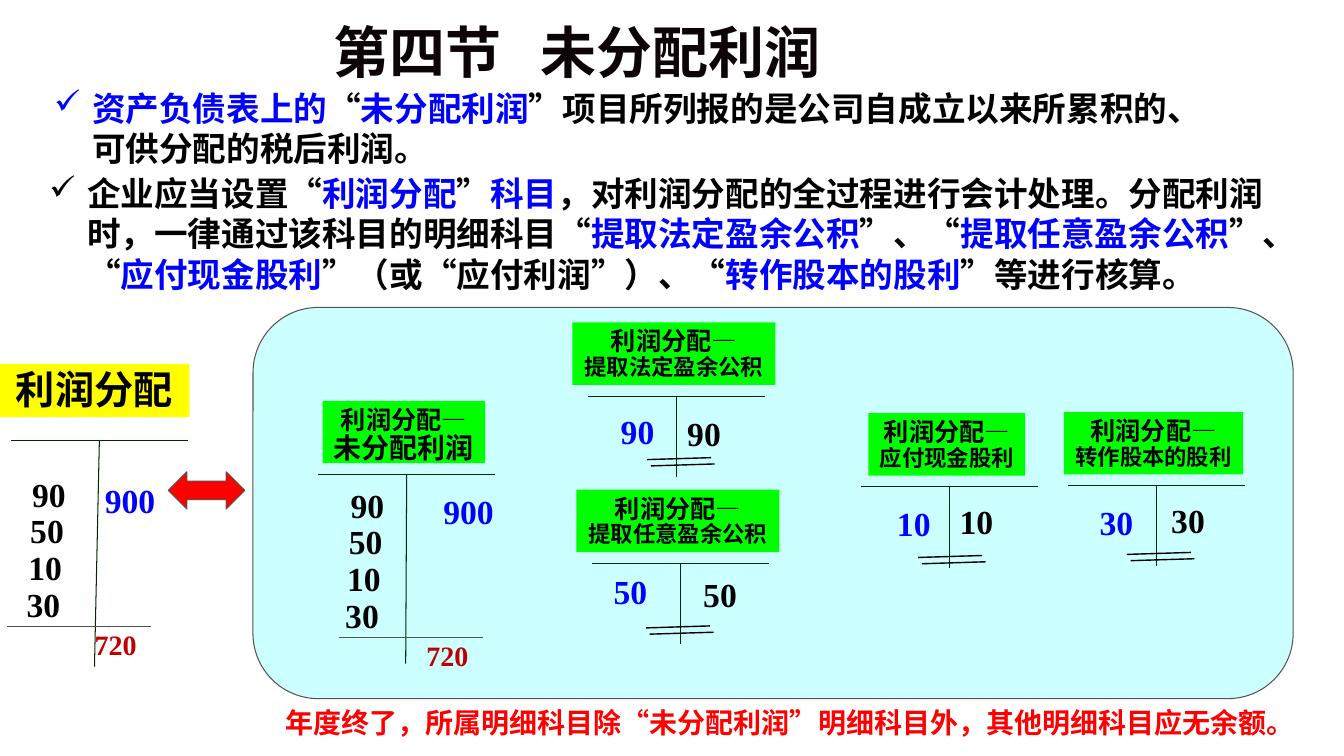
from lxml.etree import SubElement
from pptx import Presentation
from pptx.dml.color import RGBColor
from pptx.enum.shapes import MSO_CONNECTOR, MSO_SHAPE
from pptx.enum.text import MSO_ANCHOR, PP_ALIGN
from pptx.oxml.ns import qn
from pptx.util import Pt

LATIN = "Times New Roman"
CHINESE = "Noto Sans CJK SC"
BLACK = RGBColor(0x00, 0x00, 0x00)
TITLE_BLACK = RGBColor(0x0C, 0x04, 0x06)
BLUE = RGBColor(0x00, 0x00, 0xFF)
RED = RGBColor(0xFF, 0x00, 0x00)
DARK_RED = RGBColor(0xC0, 0x00, 0x00)
GREEN = RGBColor(0x00, 0xFF, 0x00)
DARK_GREEN = RGBColor(0x00, 0x2A, 0x00)
YELLOW = RGBColor(0xFF, 0xFF, 0x00)
CYAN = RGBColor(0xCC, 0xFF, 0xFF)
BROWN = RGBColor(0x5B, 0x52, 0x49)

BAR_WIDTH = 126
STEM_OFFSET = 63
LABEL_CENTRE = 61
LABEL_RISE = 52.7
LABEL_HEIGHT = 44.6


def add_run(paragraph, text, size, color, latin=LATIN):
    run = paragraph.add_run()
    run.text = text
    run.font.size = Pt(size)
    run.font.bold = True
    run.font.color.rgb = color
    run.font.name = latin
    SubElement(run._r.get_or_add_rPr(), qn("a:ea"), typeface=CHINESE)


def add_text(slide, left, top, width, height):
    """Add a wrapping text box and return its first paragraph."""
    frame = slide.shapes.add_textbox(Pt(left), Pt(top), Pt(width), Pt(height)).text_frame
    frame.word_wrap = True
    return frame.paragraphs[0]


def add_number(slide, left, top, text, color=BLACK, size=24):
    add_run(add_text(slide, left, top, 68, size * 1.5), text, size, color)


def add_line(slide, x1, y1, x2, y2, color=DARK_GREEN, width=0.75):
    line = slide.shapes.add_connector(MSO_CONNECTOR.STRAIGHT, Pt(x1), Pt(y1), Pt(x2), Pt(y2))
    line.line.color.rgb = color
    line.line.width = Pt(width)
    SubElement(line._element.spPr, qn("a:effectLst"))


def add_filled(slide, kind, left, top, width, height, fill, outlined=False):
    shape = slide.shapes.add_shape(kind, Pt(left), Pt(top), Pt(width), Pt(height))
    shape.shadow.inherit = False
    shape.fill.solid()
    shape.fill.fore_color.rgb = fill
    if outlined:
        shape.line.color.rgb = BROWN
        shape.line.width = Pt(0.75)
    else:
        shape.line.fill.background()
    return shape


def add_title(slide, left, top, width, height):
    paragraph = add_text(slide, left, top, width, height)
    paragraph.line_spacing = Pt(48)
    tabs = SubElement(paragraph._p.get_or_add_pPr(), qn("a:tabLst"))
    SubElement(tabs, qn("a:tab"), pos=str(Pt(148)), algn="l")
    add_run(paragraph, "第四节\t未分配利润", 40, TITLE_BLACK, CHINESE)


def add_bullet(slide, left, top, width, height, parts):
    """Write text parts alternately in the two colours they name."""
    paragraph = add_text(slide, left, top, width, height)
    paragraph.line_spacing = Pt(28.8)
    properties = paragraph._p.get_or_add_pPr()
    properties.set("marL", str(Pt(27)))
    properties.set("indent", str(-Pt(27)))
    SubElement(properties, qn("a:buChar"), char="✓")
    for text, color in parts:
        add_run(paragraph, text, 24, color)


def add_label(slide, left, top, width, height, fill, lines):
    shape = add_filled(slide, MSO_SHAPE.RECTANGLE, left, top, width, height, fill)
    frame = shape.text_frame
    frame.word_wrap = False
    frame.vertical_anchor = MSO_ANCHOR.TOP
    frame.margin_top, frame.margin_bottom = Pt(4.5), Pt(0)
    for index, (text, size) in enumerate(lines):
        paragraph = frame.add_paragraph() if index else frame.paragraphs[0]
        paragraph.alignment = PP_ALIGN.CENTER
        paragraph.line_spacing = Pt(round(size * 1.08, 1))
        add_run(paragraph, text, size, BLACK)


def add_ledger_cross(slide, left, top, stem_height, lean=0):
    add_line(slide, left, top, left + BAR_WIDTH, top)
    stem = left + STEM_OFFSET
    add_line(slide, stem, top, stem - lean, top + stem_height)


def add_detail_label(slide, left, top, width, name, size):
    add_label(slide, left + LABEL_CENTRE - width / 2, top - LABEL_RISE, width,
              LABEL_HEIGHT, GREEN, [("利润分配—", 18), (name, size)])


def add_closed_account(slide, left, top, label_width, name, amount, debit, credit, closing):
    """Draw a cleared detail account; the last three are offsets from its bar."""
    add_ledger_cross(slide, left, top, 57.6)
    add_detail_label(slide, left, top, label_width, name, 16)
    add_number(slide, left + debit[0], top + debit[1], amount, BLUE)
    add_number(slide, left + credit[0], top + credit[1], amount)
    for shift_x, shift_y in ((0, 0), (2.6, 4.5)):
        x, y = left + closing[0] + shift_x, top + closing[1] + shift_y
        add_line(slide, x, y, x + 45.6, y - 1.4, BLACK, 1)


def add_balance_entries(slide, left, top, credit, rule, balance):
    """Draw debits, the credit and the balance, with x offsets for the last three."""
    for row, amount in enumerate(("90", "50", "10", "30")):
        add_number(slide, left - 1.3 * row, top + 26.2 * row, amount)
    add_number(slide, left + credit, top + 4.3, "900", BLUE)
    add_line(slide, left + rule, top + 113, left + rule + 103, top + 113, BROWN)
    add_number(slide, left + balance, top + 110.2, "720", DARK_RED, 20)


def add_general_account(slide, left, top):
    add_ledger_cross(slide, left, top, 161.5, 3.5)
    add_label(slide, left - 8.7, top - 54.7, 136, 38, YELLOW, [("利润分配", 28)])
    add_balance_entries(slide, left + 7.8, top + 20.2, 52, -10.8, 44.7)


def add_undistributed_account(slide, left, top):
    add_ledger_cross(slide, left, top, 135, 0.7)
    add_detail_label(slide, left, top, 116, "未分配利润", 20)
    add_balance_entries(slide, left + 15.9, top + 3.7, 66.2, -1.4, 54)


def add_footer(slide, left, top, width, height):
    paragraph = add_text(slide, left, top, width, height)
    paragraph.line_spacing = Pt(24)
    add_run(paragraph, "年度终了，所属明细科目除“未分配利润”明细科目外，其他明细科目应无余额。",
            20, RED, CHINESE)


def main():
    presentation = Presentation()
    presentation.slide_width, presentation.slide_height = Pt(960), Pt(540)
    slide = presentation.slides.add_slide(presentation.slide_layouts[6])

    add_filled(slide, MSO_SHAPE.ROUNDED_RECTANGLE, 180.7, 219.6, 743, 279.4, CYAN, True)
    add_title(slide, 231, 9, 440, 55.4)
    add_bullet(slide, 31.7, 59, 856, 65.5, [
        ("资产负债表上的", BLUE), ("“", BLACK), ("未分配利润", BLUE),
        ("”项目所列报的是公司自成立以来所累积的、可供分配的税后利润。", BLACK)])
    add_bullet(slide, 28.1, 120, 903, 94.3, [
        ("企业应当设置“", BLACK), ("利润分配", BLUE), ("”", BLACK), ("科目", BLUE),
        ("，对利润分配的全过程进行会计处理。分配利润时，一律通过该科目的明细科目“", BLACK),
        ("提取法定盈余公积", BLUE), ("”、“", BLACK), ("提取任意盈余公积", BLUE),
        ("”、“", BLACK), ("应付现金股利", BLUE), ("”（或“应付利润”）、“", BLACK),
        ("转作股本的股利", BLUE), ("”等进行核算。", BLACK)])

    add_general_account(slide, 8, 314.6)
    add_undistributed_account(slide, 227.5, 339)
    closed_accounts = [
        (420.3, 283, 145, "提取法定盈余公积", "90", (16, 7.2), (63.5, 8.6), (42, 45.3)),
        (423.2, 402.5, 145, "提取任意盈余公积", "50", (8, 1.4), (72, 3.6), (38.3, 46)),
        (615.3, 347.8, 112, "应付现金股利", "10", (18.3, 7.9), (63, 6.4), (40.6, 50.4)),
        (763, 347, 128, "转作股本的股利", "30", (15.3, 8), (66.5, 6.5), (42, 49)),
    ]
    for account in closed_accounts:
        add_closed_account(slide, *account)
    add_footer(slide, 196.6, 500.7, 815, 31.7)
    add_filled(slide, MSO_SHAPE.LEFT_RIGHT_ARROW, 120.2, 337, 54.7, 26.6, RED, True)
    presentation.save("out.pptx")


if __name__ == "__main__":
    main()
